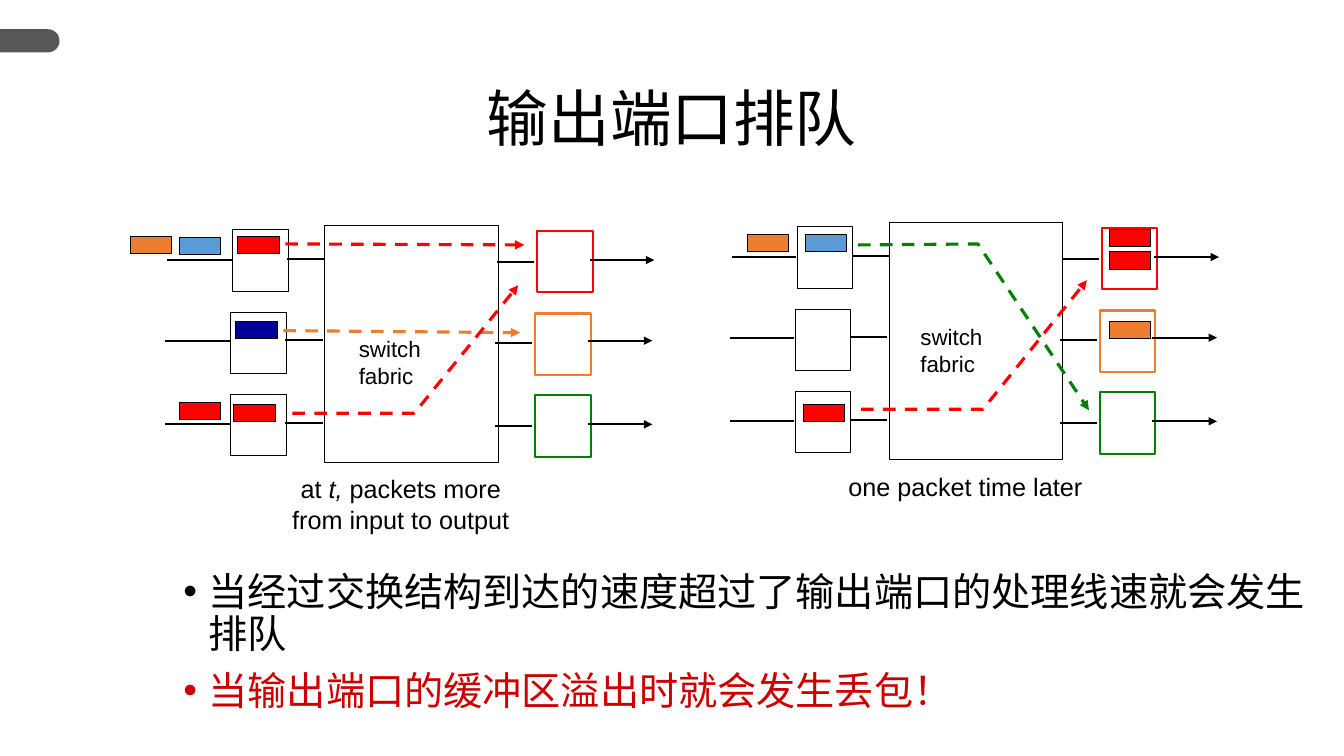
from lxml import etree
from pptx import Presentation
from pptx.dml.color import RGBColor
from pptx.enum import dml, shapes, text
from pptx.oxml import ns
from pptx.util import Inches, Pt

COLORS = {
    "black": "000000", "white": "FFFFFF", "grey": "575757", "red": "FF0000",
    "orange": "ED7D31", "green": "008000", "blue": "5B9BD5", "navy": "000099",
    "warning": "CC0000",
}
CJK_FONT = "Noto Sans CJK SC"
LATIN_FONT = "Arial"
ROWS = [(0, 2.28, 2.58, "red"), (-0.02, 3.1, 3.38, "orange"), (-0.02, 3.91, 4.21, "green")]
LEFT_ORIGIN = (0, 0)
RIGHT_ORIGIN = (5.6, -0.03)
LEFT_PACKETS = [
    (2.36, 2.35, "red"), (2.34, 3.19, "navy"), (2.32, 4.01, "red"),
    (1.78, 2.36, "blue"), (1.78, 3.99, "red"), (1.29, 2.35, "orange"),
]
RIGHT_PACKETS = [
    (11, 2.28, "red"), (11, 2.5, "red"), (11, 3.19, "orange"),
    (7.99, 2.33, "blue"), (7.97, 4.01, "red"), (7.41, 2.33, "orange"),
]


def rgb(name):
    """Return the named colour."""
    return RGBColor.from_string(COLORS[name])


def style_line(line, color, width, dashed=False, arrow=False):
    """Set colour, width, dash and arrowhead of a line."""
    line.color.rgb = rgb(color)
    line.width = Pt(width)
    if dashed:
        line.dash_style = dml.MSO_LINE.DASH
    if arrow:
        tail = etree.SubElement(line._get_or_add_ln(), ns.qn("a:tailEnd"))
        tail.set("type", "triangle")


def add_box(page, left, top, width, height, fill="white", outline="black", weight=0.75):
    """Add an outlined rectangle."""
    box = page.shapes.add_shape(
        shapes.MSO_SHAPE.RECTANGLE, Inches(left), Inches(top), Inches(width), Inches(height))
    box.shadow.inherit = False
    box.fill.solid()
    box.fill.fore_color.rgb = rgb(fill)
    style_line(box.line, outline, weight)


def add_wire(page, start, end, color="black", width=1.5, dashed=False, arrow=False):
    """Add a straight line between two points."""
    wire = page.shapes.add_connector(
        shapes.MSO_CONNECTOR.STRAIGHT, *(Inches(value) for value in (*start, *end)))
    style_line(wire.line, color, width, dashed, arrow)
    etree.SubElement(wire._element.spPr, ns.qn("a:effectLst"))


def add_bent_route(page, points, color):
    """Add a dashed arrow that bends on its way through the fabric."""
    start, *rest = [(Inches(x), Inches(y)) for x, y in points]
    builder = page.shapes.build_freeform(*start)
    builder.add_line_segments(rest, close=False)
    route = builder.convert_to_shape()
    route.shadow.inherit = False
    route.fill.background()
    style_line(route.line, color, 2.25, dashed=True, arrow=True)


def add_text(page, left, top, width, height, lines, size, font, align=None, wrap=True):
    """Add a text box whose lines are lists of (text, italic) spans."""
    box = page.shapes.add_textbox(Inches(left), Inches(top), Inches(width), Inches(height))
    frame = box.text_frame
    frame.word_wrap = wrap
    for index, spans in enumerate(lines):
        para = frame.paragraphs[0] if index == 0 else frame.add_paragraph()
        para.alignment = align
        for content, italic in spans:
            span = para.add_run()
            span.text = content
            if italic:
                span.font.italic = True
        para.font.size = Pt(size)
        para.font.name = font
        para.font.color.rgb = rgb("black")
    return frame


def add_caption(page, left, top, height, lines):
    """Add a centred caption below a switch."""
    add_text(page, left, top, 3.59, height, lines, 18, LATIN_FONT, text.PP_ALIGN.CENTER)


def add_switch(page, origin, label_at):
    """Add the fabric with its input and output ports and wires."""
    dx, dy = origin
    add_box(page, 3.22 + dx, 2.24 + dy, 1.72, 2.35)
    for shift, port_y, wire_y, color in ROWS:
        x, y = dx + shift, wire_y + dy
        add_box(page, 2.31 + x, port_y + dy, 0.55, 0.61)
        add_box(page, 5.33 + x, port_y + 0.01 + dy, 0.55, 0.61, outline=color, weight=1.5)
        add_wire(page, (1.66 + x, y), (2.3 + x, y))
        add_wire(page, (2.85 + x, y - 0.01), (3.22 + x, y - 0.01))
        add_wire(page, (4.93 + x, y + 0.02), (5.3 + x, y + 0.02))
        add_wire(page, (5.85 + x, y), (6.49 + x, y), arrow=True)
    add_text(page, *label_at, 0.82, 0.64, [[("switch", False)], [("fabric", False)]],
             16, LATIN_FONT, wrap=False)


def add_packets(page, packets):
    """Add the small coloured packets."""
    for left, top, color in packets:
        add_box(page, left, top, 0.41, 0.17, fill=color)


def add_edge_tab(page):
    """Add the grey tab at the left edge."""
    tab = page.shapes.add_shape(
        shapes.MSO_SHAPE.ROUND_2_SAME_RECTANGLE,
        Inches(0.18), Inches(0.11), Inches(0.23), Inches(0.59))
    tab.adjustments[0] = 0.5
    tab.rotation = 90
    tab.shadow.inherit = False
    tab.fill.solid()
    tab.fill.fore_color.rgb = rgb("grey")
    tab.line.fill.background()


def add_title(page, title):
    """Add the centred slide title."""
    frame = add_text(page, 0, 0.81, 13.33, 0.8, [[(title, False)]], 44, CJK_FONT,
                     text.PP_ALIGN.CENTER)
    frame.vertical_anchor = text.MSO_ANCHOR.MIDDLE
    frame.paragraphs[0].line_spacing = 0.9


def add_bullets(page, items):
    """Add the bulleted statements from (text, colour) pairs."""
    frame = add_text(page, 1.72, 5.63, 11.35, 1.3, [[(item, False)] for item, _ in items],
                     28, CJK_FONT)
    for index, (para, (_, color)) in enumerate(zip(frame.paragraphs, items)):
        para.line_spacing = 0.9
        para.space_before = Pt(10 if index else 0)
        properties = para._p.get_or_add_pPr()
        properties.set("marL", str(Inches(0.25)))
        properties.set("indent", str(Inches(-0.25)))
        bullet_font = etree.Element(ns.qn("a:buFont"), typeface=LATIN_FONT)
        bullet = etree.Element(ns.qn("a:buChar"), char="•")
        properties.find(ns.qn("a:defRPr")).addprevious(bullet_font)
        bullet_font.addnext(bullet)
        para.font.color.rgb = rgb(color)
        for span in para.runs:
            span.font.color.rgb = rgb(color)


def main():
    """Build and save the slide."""
    deck = Presentation()
    deck.slide_width, deck.slide_height = Inches(13.33), Inches(7.5)
    page = deck.slides.add_slide(deck.slide_layouts[6])
    add_edge_tab(page)
    add_title(page, "输出端口排队")
    add_bullets(page, [
        ("当经过交换结构到达的速度超过了输出端口的处理线速就会发生排队", "black"),
        ("当输出端口的缓冲区溢出时就会发生丢包！", "warning"),
    ])

    add_switch(page, LEFT_ORIGIN, (3.46, 3.28))
    add_packets(page, LEFT_PACKETS)
    add_wire(page, (2.83, 2.42), (5.2, 2.43), "red", 2.25, dashed=True, arrow=True)
    add_wire(page, (2.81, 3.28), (5.16, 3.3), "orange", 2.25, dashed=True, arrow=True)
    add_bent_route(page, [(2.9, 4.1), (4.11, 4.1), (5.14, 2.83)], "red")
    add_caption(page, 2.18, 4.65, 0.7, [
        [("at ", False), ("t,", True), (" packets more", False)],
        [("from input to output", False)],
    ])

    add_switch(page, RIGHT_ORIGIN, (9.03, 3.16))
    add_packets(page, RIGHT_PACKETS)
    add_bent_route(page, [(8.54, 4.06), (9.75, 4.06), (10.78, 2.78)], "red")
    add_bent_route(page, [(8.51, 2.43), (9.7, 2.42), (10.8, 4.07)], "green")
    add_caption(page, 7.78, 4.63, 0.4, [[("one packet time later", False)]])
    deck.save("out.pptx")


if __name__ == "__main__":
    main()
